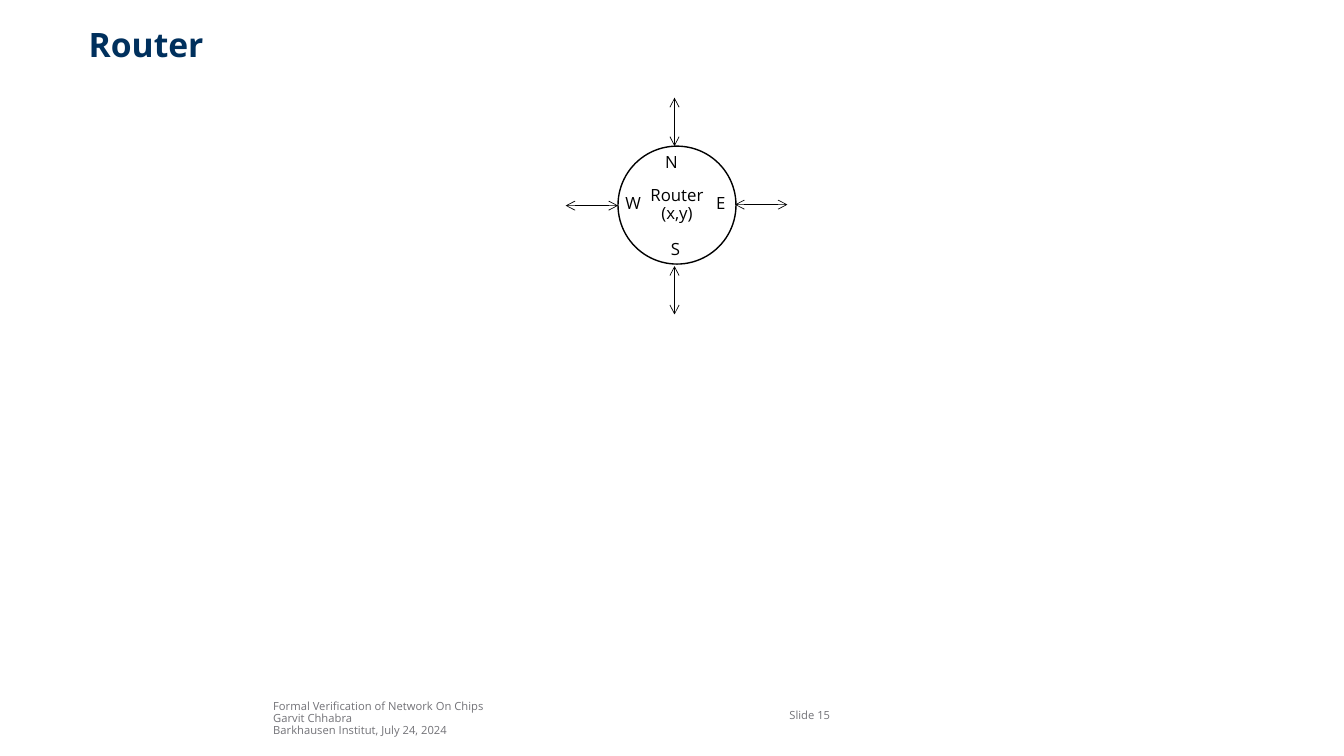
from lxml.etree import SubElement
from pptx import Presentation
from pptx.dml.color import RGBColor
from pptx.enum.shapes import MSO_CONNECTOR, MSO_SHAPE
from pptx.enum.text import MSO_ANCHOR, PP_ALIGN
from pptx.oxml.ns import qn
from pptx.util import Inches, Pt


def color(value):
    return RGBColor.from_string(value)


def write(part, text, size, ink, anchor, align, bold=False):
    frame = part.text_frame
    frame.text = text
    frame.vertical_anchor = anchor
    frame.margin_left = frame.margin_right = 0
    frame.margin_top = frame.margin_bottom = 0
    for paragraph in frame.paragraphs:
        paragraph.alignment = align
        paragraph.line_spacing = 0.9
        for run in paragraph.runs:
            run.font.name = "Open Sans"
            run.font.size = Pt(size)
            run.font.bold = bold
            run.font.color.rgb = color(ink)


deck = Presentation()
deck.slide_width, deck.slide_height = Inches(13.33), Inches(7.5)
slide = deck.slides.add_slide(deck.slide_layouts[5])
shapes = slide.shapes

title = shapes.title
title.left, title.top = Inches(0.88), Inches(0.28)
title.width, title.height = Inches(11.57), Inches(0.56)
write(title, "Router", 24, "00305D", MSO_ANCHOR.TOP, PP_ALIGN.LEFT, True)

FOOTERS = [
    ("Formal Verification of Network On Chips\nGarvit Chhabra\n"
     "Barkhausen Institut, July 24, 2024", 2.71, 6.91, 4.9, MSO_ANCHOR.BOTTOM),
    ("Slide 15", 7.83, 6.9, 0.77, MSO_ANCHOR.MIDDLE),
]
for text, left, top, width, anchor in FOOTERS:
    footer = shapes.add_textbox(Inches(left), Inches(top), Inches(width), Inches(0.4))
    footer.text_frame.word_wrap = True
    write(footer, text, 8, "727277", anchor, PP_ALIGN.LEFT)

router = shapes.add_shape(MSO_SHAPE.OVAL, Inches(6.13), Inches(1.45), Inches(1.17), Inches(1.17))
router.shadow.inherit = False
router.fill.solid()
router.fill.fore_color.rgb = color("FFFFFF")
router.line.color.rgb = color("000000")
router.line.width = Pt(1)
write(router, "Router\n(x,y)", 12, "000000", MSO_ANCHOR.MIDDLE, PP_ALIGN.CENTER)

LINKS = [
    (6.13, 2.04, 5.61, 2.04),
    (7.81, 2.03, 7.29, 2.03),
    (6.69, 3.12, 6.69, 2.64),
    (6.69, 1.45, 6.69, 0.97),
]
for ends in LINKS:
    link = shapes.add_connector(MSO_CONNECTOR.STRAIGHT, *map(Inches, ends))
    link.line.color.rgb = color("000000")
    link.line.width = Pt(0.5)
    outline = link.line._get_or_add_ln()
    for end in ("headEnd", "tailEnd"):
        SubElement(outline, qn(f"a:{end}"), type="arrow")
    SubElement(link._element.spPr, qn("a:effectLst"))

PORT_WIDTH = 0.3
PORTS = [("N", 6.66, 1.53), ("S", 6.7, 2.39), ("W", 6.28, 1.93), ("E", 7.15, 1.93)]
for letter, center, top in PORTS:
    port = shapes.add_textbox(
        Inches(center - PORT_WIDTH / 2), Inches(top), Inches(PORT_WIDTH), Inches(0.2))
    port.text_frame.word_wrap = True
    write(port, letter, 12, "000000", MSO_ANCHOR.TOP, PP_ALIGN.CENTER)

deck.save("out.pptx")
